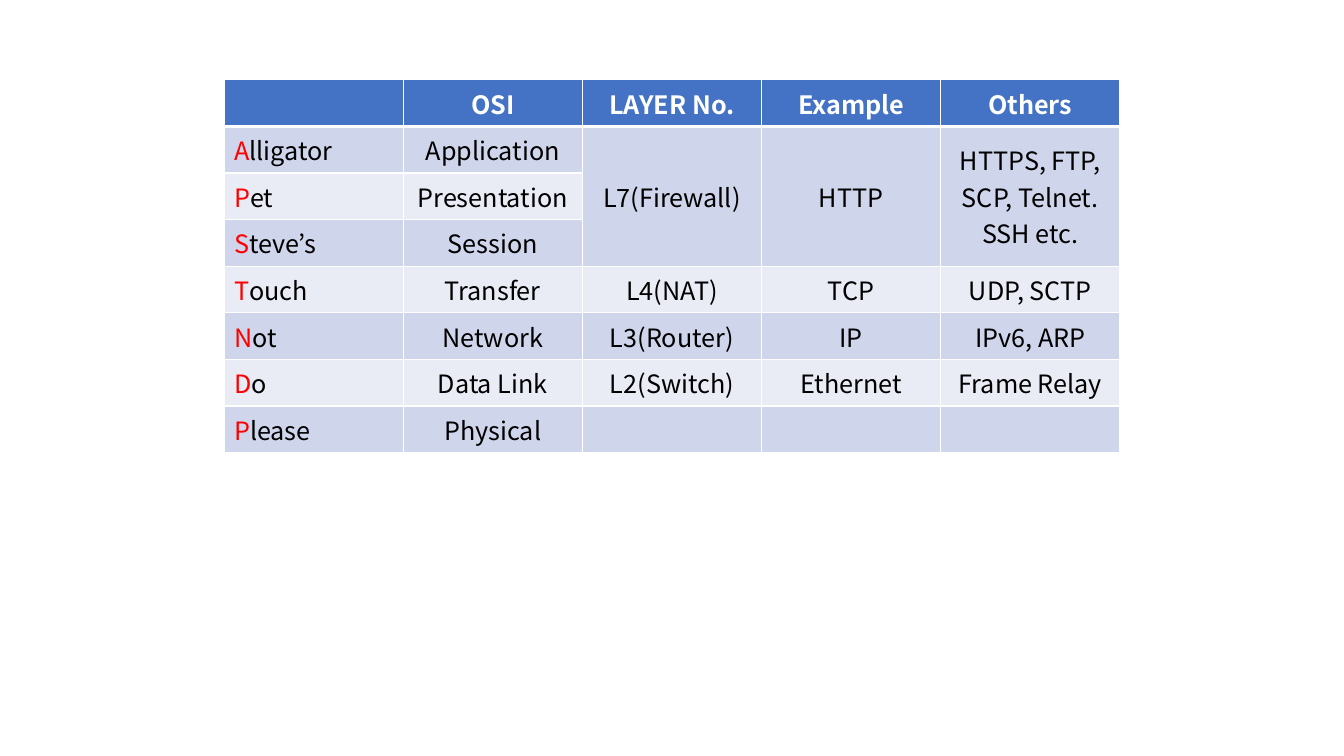
from lxml.etree import SubElement
from pptx import Presentation
from pptx.dml.color import RGBColor
from pptx.enum.text import MSO_ANCHOR, PP_ALIGN as Align
from pptx.oxml.ns import qn
from pptx.util import Pt

# Content: mnemonic word, then the layer it stands for
HEADER = ["", "OSI", "LAYER No.", "Example", "Others"]
LAYERS = [
    ["Alligator", "Application", "L7(Firewall)", "HTTP", "HTTPS, FTP, SCP, Telnet. SSH etc."],
    ["Pet", "Presentation", "", "", ""],
    ["Steve’s", "Session", "", "", ""],
    ["Touch", "Transfer", "L4(NAT)", "TCP", "UDP, SCTP"],
    ["Not", "Network", "L3(Router)", "IP", "IPv6, ARP"],
    ["Do", "Data Link", "L2(Switch)", "Ethernet", "Frame Relay"],
    ["Please", "Physical", "", "", ""],
]
ROWS = [HEADER] + LAYERS
MERGED_COLS = (2, 3, 4)
MERGED_ROWS = (1, 3)

# Format
COLORS = {"header": "4472C4", "odd": "CFD5EA", "even": "E9EBF5",
          "line": "FFFFFF", "head_text": "FFFFFF", "text": "000000", "initial": "FF0000"}
FONT = {"name": "Noto Sans CJK KR", "size": Pt(18)}
LEFT, TOP, COL_W, ROW_H = 160, 57, 128, 29.2


def rgb(name):
    return RGBColor.from_string(COLORS[name])


def add_run(p, text, color, bold):
    r = p.add_run()
    r.text = text
    for key, value in {**FONT, "bold": bold}.items():
        setattr(r.font, key, value)
    r.font.color.rgb = rgb(color)


def set_borders(cell, widths):
    tc_pr = cell._tc.get_or_add_tcPr()
    for side, width in widths.items():
        ln = SubElement(tc_pr, qn(f"a:ln{side}"), w=str(Pt(width)))
        fill = SubElement(ln, qn("a:solidFill"))
        SubElement(fill, qn("a:srgbClr"), val=COLORS["line"])


def format_cell(cell, row, col, text):
    is_header = row == 0
    # The rule under the header is thicker than the others
    set_borders(cell, {"L": 1, "R": 1, "T": 3 if row == 1 else 1, "B": 3 if is_header else 1})
    cell.fill.solid()
    cell.fill.fore_color.rgb = rgb("header" if is_header else "odd" if row % 2 else "even")
    cell.vertical_anchor = MSO_ANCHOR.MIDDLE
    p = cell.text_frame.paragraphs[0]
    p.alignment = Align.CENTER if col else Align.JUSTIFY
    if not text:
        return
    if is_header:
        add_run(p, text, "head_text", True)
    elif col == 0:
        add_run(p, text[0], "initial", False)
        add_run(p, text[1:], "text", False)
    else:
        add_run(p, text, "text", False)


# Slide
prs = Presentation()
prs.slide_width, prs.slide_height = Pt(960), Pt(540)
s = prs.slides.add_slide(prs.slide_layouts[6])

# Table
n_rows, n_cols = len(ROWS), len(HEADER)
table = s.shapes.add_table(n_rows, n_cols, Pt(LEFT), Pt(TOP),
                           Pt(COL_W * n_cols), Pt(ROW_H * n_rows)).table
for column in table.columns:
    column.width = Pt(COL_W)
for i, texts in enumerate(ROWS):
    table.rows[i].height = Pt(ROW_H)
    for j, text in enumerate(texts):
        format_cell(table.cell(i, j), i, j, text)

# The top three layers share one cell in each detail column
first, last = MERGED_ROWS
for j in MERGED_COLS:
    table.cell(first, j).merge(table.cell(last, j))

prs.save("out.pptx")
